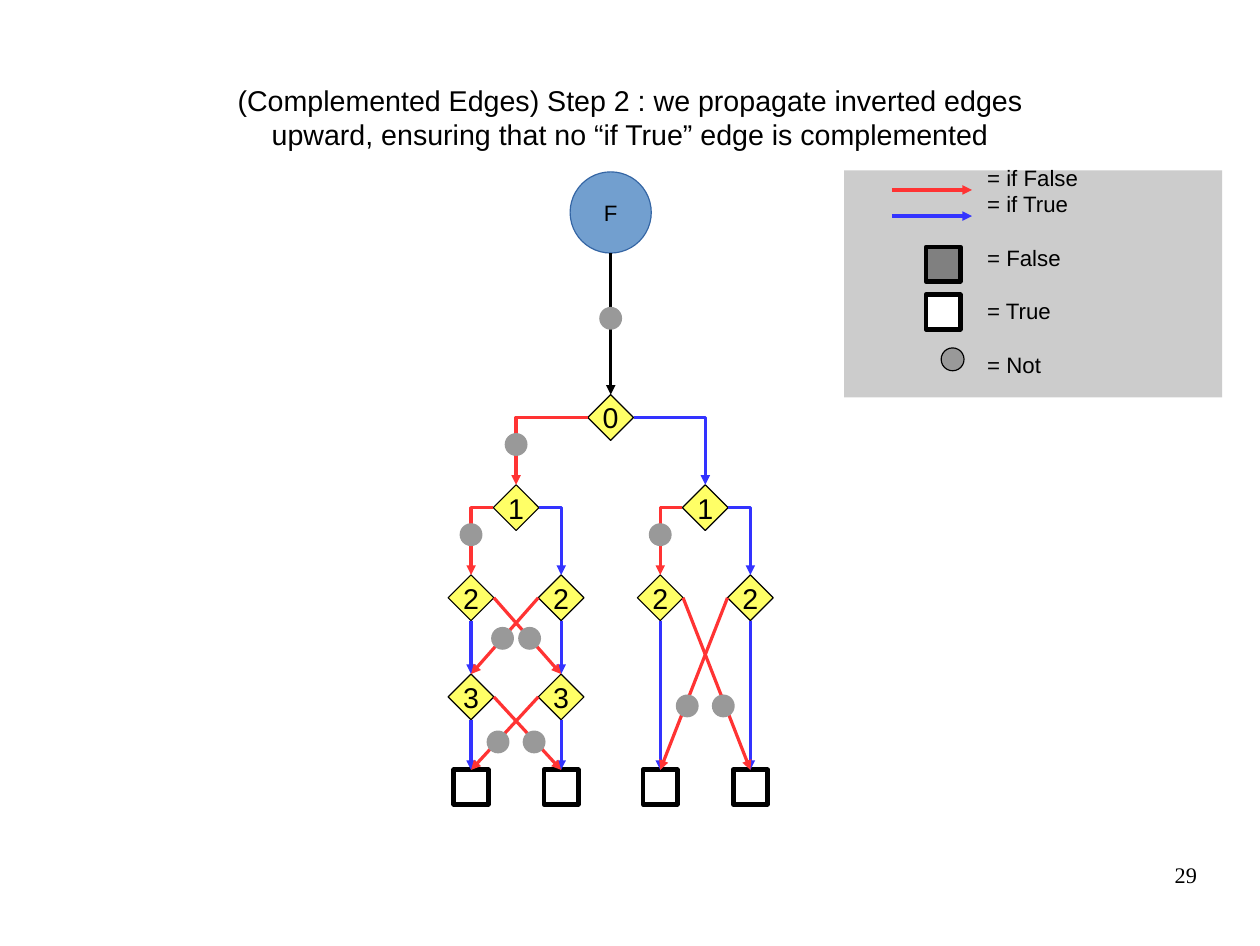
"""Build the slide on complemented edges in a binary decision diagram."""
from lxml import etree
from pptx import Presentation
from pptx import util as u
from pptx.dml.color import RGBColor
from pptx.enum import shapes, text
from pptx.oxml.ns import qn

BLACK, WHITE, RED, BLUE = "000000", "FFFFFF", "FF3333", "3333FF"
YELLOW, GREY = "FFFF66", "999999"
TOP, LEFT, BOTTOM, RIGHT = range(4)
KIND = shapes.MSO_SHAPE
WIRE = shapes.MSO_CONNECTOR
ALIGN = text.PP_ALIGN


def rgb(code):
    """Turn a hex string into a colour."""
    return RGBColor.from_string(code)


def apply(target, values):
    """Set every attribute named in the dict."""
    for name, value in values.items():
        setattr(target, name, value)


class Diagram:
    """Hold the slide, its style and the grid of the decision diagram."""

    unit, left, top = 0.394, 4.12, 3.65
    sizes = {"node": 0.4, "leaf": 0.3, "dot": 0.2, "function": 0.71}
    tight = dict(margin_left=0, margin_right=0, margin_top=0, margin_bottom=0)

    def __init__(self, deck):
        """Add a slide with a title placeholder."""
        self.width, self.height = deck.slide_width, deck.slide_height
        self.slide = deck.slides.add_slide(deck.slide_layouts[5])

    def place(self, col, row):
        """Return the slide position of a grid point."""
        return (u.Inches(self.left + col * self.unit),
                u.Inches(self.top + row * self.unit))

    def share(self, x, y, width, height):
        """Return a frame given as shares of the slide."""
        return dict(left=int(x * self.width), top=int(y * self.height),
                    width=int(width * self.width), height=int(height * self.height))

    def fill_text(self, frame, lines, size, align, font="Arial", **layout):
        """Set one paragraph per line and return the paragraphs."""
        apply(frame, layout)
        frame.text = "\n".join(lines)
        for paragraph in frame.paragraphs:
            paragraph.alignment = align
            apply(paragraph.font, dict(name=font, size=u.Pt(size)))
            paragraph.font.color.rgb = rgb(BLACK)
        return frame.paragraphs

    def title(self, words, frame):
        """Fill and move the title placeholder."""
        heading = self.slide.shapes.title
        apply(heading, self.share(*frame))
        self.fill_text(heading.text_frame, [words], 18, ALIGN.CENTER, word_wrap=True,
                       vertical_anchor=text.MSO_ANCHOR.MIDDLE, **self.tight)

    def number(self, words, frame):
        """Add the page number."""
        box = self.slide.shapes.add_textbox(**self.share(*frame))
        self.fill_text(box.text_frame, [words], 14, ALIGN.RIGHT, "Times New Roman",
                       word_wrap=True, **self.tight)

    def block(self, kind, frame, fill, line=None, weight=0):
        """Add a flat preset shape."""
        shape = self.slide.shapes.add_shape(kind, *frame)
        shape.shadow.inherit = False
        shape.fill.solid()
        shape.fill.fore_color.rgb = rgb(fill)
        if line:
            shape.line.color.rgb = rgb(line)
            shape.line.width = u.Pt(weight)
        else:
            shape.line.fill.background()
        return shape

    def centred(self, part, kind, col, row, fill, line=None, weight=0):
        """Add a shape centred on a grid point."""
        x, y = self.place(col, row)
        size = u.Inches(self.sizes[part])
        return self.block(kind, (x - size // 2, y - size // 2, size, size),
                          fill, line, weight)

    def label(self, shape, words, size):
        """Centre a label in a shape."""
        self.fill_text(shape.text_frame, [words], size, ALIGN.CENTER, word_wrap=False,
                       vertical_anchor=text.MSO_ANCHOR.MIDDLE)

    def node(self, words, col, row):
        """Add a decision node."""
        diamond = self.centred("node", KIND.DIAMOND, col, row, YELLOW, BLACK)
        self.label(diamond, words, 18)
        return diamond

    def function(self, words, col, row):
        """Add the circle for the function."""
        circle = self.centred("function", KIND.OVAL, col, row, "729FCF", "3465A4")
        self.label(circle, words, 14)
        return circle

    def leaf(self, col, row, fill=WHITE):
        """Add a terminal box."""
        return self.centred("leaf", KIND.RECTANGLE, col, row, fill, BLACK, 3)

    def dot(self, col, row, line=None):
        """Add an inversion dot."""
        return self.centred("dot", KIND.OVAL, col, row, GREY, line)

    def arrow(self, color, start=(0, 0), end=(0, 0), bent=False):
        """Add a hairline arrow between two points."""
        wire = self.slide.shapes.add_connector(
            WIRE.ELBOW if bent else WIRE.STRAIGHT, *start, *end)
        wire.line.color.rgb = rgb(color)
        wire.line.width = u.Pt(0)
        properties = wire._element.spPr
        outline = properties.find(qn("a:ln"))
        etree.SubElement(outline, qn("a:tailEnd"), type="triangle")
        etree.SubElement(properties, qn("a:effectLst"))
        if bent:
            properties.find(qn("a:prstGeom")).set("prst", "bentConnector2")
        return wire

    def edge(self, source, side, target, color, bent=False):
        """Join a side of one shape to the top of another."""
        wire = self.arrow(color, bent=bent)
        wire.begin_connect(source, side)
        wire.end_connect(target, TOP)

    def legend(self, lines, frame):
        """Add the legend panel with its meanings."""
        spots = self.share(*frame)
        panel = self.block(KIND.RECTANGLE, spots.values(), "CCCCCC")
        meanings = self.fill_text(
            panel.text_frame, lines, 14, ALIGN.LEFT, word_wrap=True,
            vertical_anchor=text.MSO_ANCHOR.MIDDLE, margin_left=u.Inches(1.25),
            margin_top=0, margin_bottom=u.Inches(0.23))
        for index, meaning in enumerate(meanings):
            meaning.line_spacing = u.Pt(16.8)
            meaning.space_before = u.Pt(16.8 if index > 1 else 0)


def main():
    """Draw the slide and save it."""
    deck = Presentation()
    apply(deck, dict(slide_width=u.Inches(11.02), slide_height=u.Inches(8.27)))
    page = Diagram(deck)
    page.title("(Complemented Edges) Step 2 : we propagate inverted edges\v"
               "upward, ensuring that no “if True” edge is complemented",
               (0.05, 0.04, 0.9, 0.167))

    circle = page.function("F", 3.1, -4.55)
    root = page.node("0", 3.1, 0)
    entry = page.arrow(BLACK, (circle.left + circle.width // 2,
                               circle.top + circle.height))
    entry.end_connect(root, TOP)

    for start, side, color, deep in ((0, LEFT, RED, True), (4.2, RIGHT, BLUE, False)):
        columns = (start, start + 2)
        parent = page.node("1", start + 1, 2)
        page.edge(root, side, parent, color, bent=True)
        levels = [[page.node("2", col, 4) for col in columns]]
        if deep:
            levels.append([page.node("3", col, 6.2) for col in columns])
        levels.append([page.leaf(col, 8.2) for col in columns])
        page.edge(parent, LEFT, levels[0][0], RED, bent=True)
        page.edge(parent, RIGHT, levels[0][1], BLUE, bent=True)
        for upper, lower in zip(levels, levels[1:]):
            for source, target in zip(upper, lower):
                page.edge(source, BOTTOM, target, BLUE)
            page.edge(upper[0], RIGHT, lower[1], RED)
            page.edge(upper[1], LEFT, lower[0], RED)

    for col, row in ((3.1, -2.2), (1, 0.6), (0, 2.6), (4.2, 2.6), (0.7, 4.9),
                     (1.3, 4.9), (0.6, 7.2), (1.4, 7.2), (4.8, 6.4), (5.6, 6.4)):
        page.dot(col, row)

    page.legend(["= if False", "= if True", "= False", "= True", "= Not"],
                (0.67, 0.18, 0.3, 0.24))
    for row, color in ((-5.05, RED), (-4.47, BLUE)):
        page.arrow(color, page.place(9.34, row), page.place(11.12, row))
    page.leaf(10.48, -3.4, "808080")
    page.leaf(10.48, -2.34)
    page.dot(10.69, -1.29, BLACK)
    page.number("29", (0.72, 0.91, 0.23, 0.07))
    deck.save("out.pptx")


if __name__ == "__main__":
    main()
